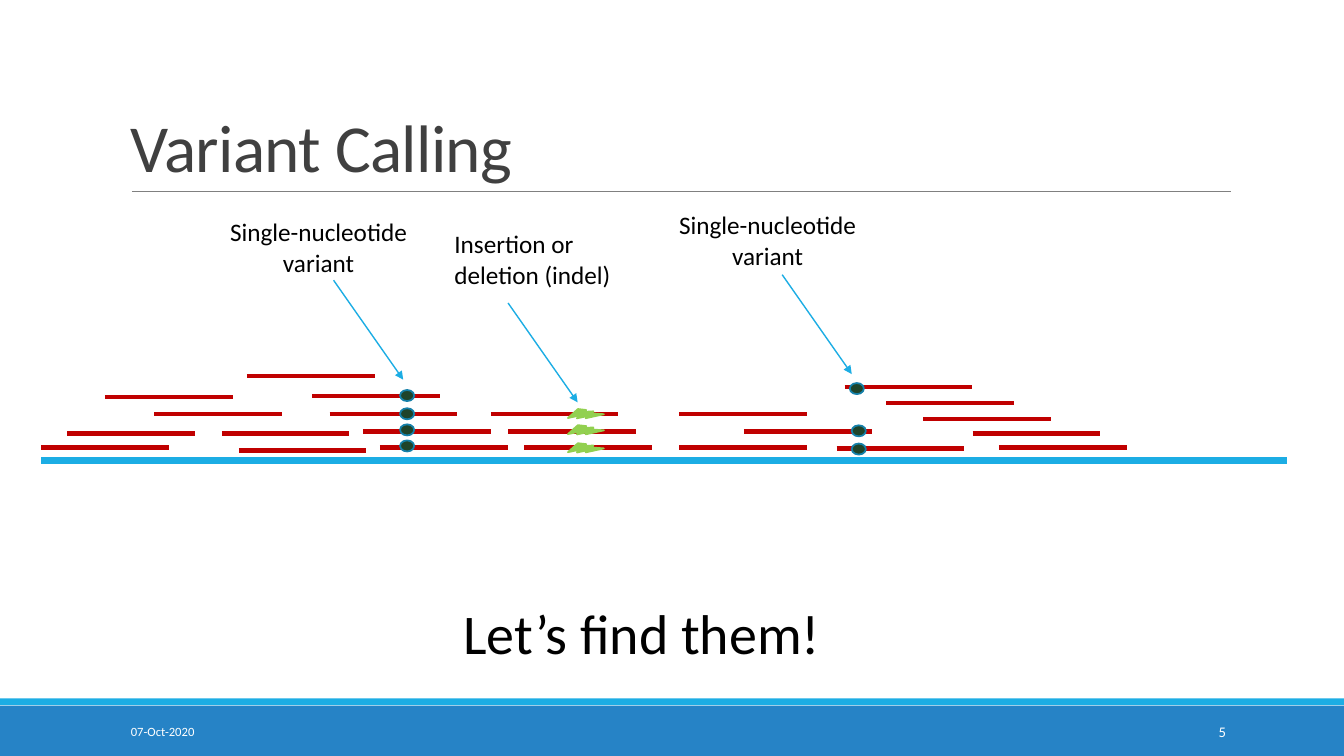
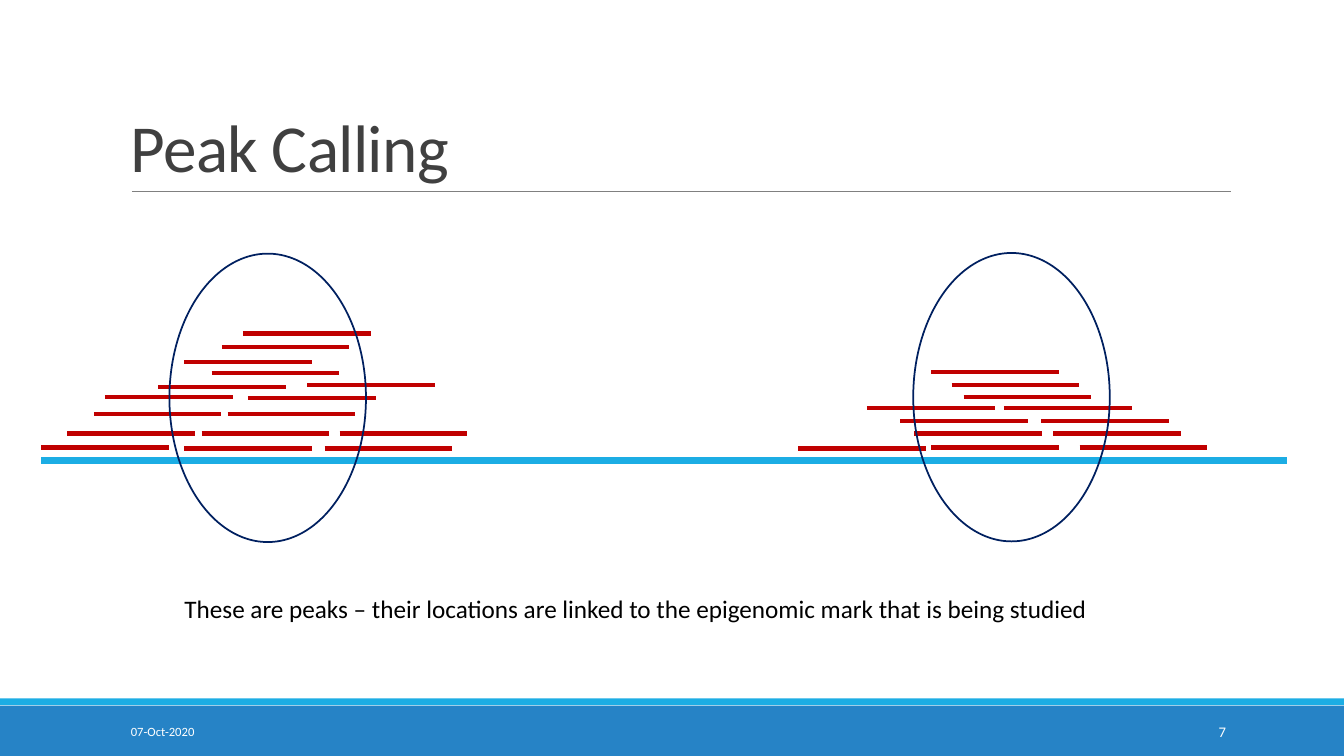
from lxml import etree
from pptx import Presentation
from pptx.dml.color import RGBColor
from pptx.enum.shapes import MSO_CONNECTOR, MSO_SHAPE
from pptx.enum.text import MSO_ANCHOR, PP_ALIGN
from pptx.oxml.ns import qn
from pptx.util import Pt

LINE = MSO_CONNECTOR.STRAIGHT
RECT, OVAL, BOLT = MSO_SHAPE.RECTANGLE, MSO_SHAPE.OVAL, MSO_SHAPE.LIGHTNING_BOLT
LEFT, MID, RIGHT = PP_ALIGN.LEFT, PP_ALIGN.CENTER, PP_ALIGN.RIGHT
TOP, CENTER, BASE = MSO_ANCHOR.TOP, MSO_ANCHOR.MIDDLE, MSO_ANCHOR.BOTTOM

FONT = "Calibri"
BLUE, CYAN, WHITE, BLACK = "2683C6", "1CADE4", "FFFFFF", "000000"
GREY, RULE, RED, NAVY = "404040", "808080", "C00000", "002060"
DOT, RIM, GREEN = "1F442A", "1580A9", "92D050"

WIDE, HIGH = 960, 540
DATE = "07-Oct-2020"
READ = 91.2  # length of one read
GENOME = (29.5, 329, 919.4, 329)

# Reads: height of the row, then the left ends
VARIANT_READS = {
    268.6: [176.4],
    276.5: [603.4],
    283: [223.2],
    283.7: [74.9],
    288: [632.9],
    295.9: [110.2, 235.4, 350.6, 485.3],
    299.5: [659.5],
    308.2: [259.2, 362.9, 531.4],
    309.6: [48.2, 158.4, 694.8],
    319.7: [29.5, 271.4, 374.4, 485.3, 713.5],
    320.4: [597.6],
    321.8: [170.6],
}
PEAK_READS = {
    238.3: [173.5],
    247.7: [158.4],
    258.5: [131.8],
    265.7: [665.3],
    266.4: [151.2],
    275: [219.6, 679.7],
    276.5: [113],
    283.7: [74.9, 688.3],
    284.4: [177.1],
    291.6: [619.2, 717.1],
    295.9: [67, 162.7],
    301: [643, 743.8],
    309.6: [48.2, 144, 242.6, 653, 752.4],
    319.7: [29.5, 665.3, 771.1],
    320.4: [131.8, 231.8, 570.2],
}

DOTS = [(285.8, 278.6), (285.8, 291.6), (285.8, 303.1), (285.8, 314.6),
        (608.4, 303.8), (607, 273.6), (608.4, 316.8)]
BOLTS = [(406.1, 290.2), (406.1, 301.7), (406.1, 314.6)]
ARROWS = [(238.3, 200.2), (558.7, 196.2), (362.9, 216.4)]
REACH = (49.7, 71)  # run and drop of each arrow
LABELS = [
    ("Single-nucleotide variant", (143.3, 151.2, 168.5, 51), MID),
    ("Single-nucleotide variant", (463.7, 146.2, 169.2, 51), MID),
    ("Insertion or deletion (indel)", (317.5, 159.8, 154.8, 51), LEFT),
]
CALL = ("Let’s find them!", (324, 424.1, 434.9, 55.4))
PEAKS = [(121, 181.2), (652.3, 180.7)]
NOTE = ("These are peaks – their locations are linked to the epigenomic "
        "mark that is being studied", (124.6, 420.5, 683.3, 29))


def color(code):
    """Turn a hex string into a colour."""
    return RGBColor.from_string(code)


def add_line(slide, ends, code, width, arrow=False):
    """Draw a straight line, with an arrowhead at its end if asked."""
    line = slide.shapes.add_connector(LINE, *map(Pt, ends))
    line.line.color.rgb = color(code)
    line.line.width = Pt(width)
    if arrow:
        stroke = line.line._get_or_add_ln()
        etree.SubElement(stroke, qn("a:tailEnd"), type="triangle")
    etree.SubElement(line._element.spPr, qn("a:effectLst"))


def add_form(slide, kind, box, fill=None, edge=None, turn=0):
    """Draw a preset shape with an optional fill and outline."""
    form = slide.shapes.add_shape(kind, *map(Pt, box))
    form.shadow.inherit = False
    form.rotation = turn
    if fill:
        form.fill.solid()
        form.fill.fore_color.rgb = color(fill)
    else:
        form.fill.background()
    if edge:
        form.line.color.rgb = color(edge)
        form.line.width = Pt(1.25)
    else:
        form.line.fill.background()


def add_text(slide, text, box, size, code=BLACK, align=LEFT, anchor=TOP):
    """Add a wrapped text box and return its paragraph."""
    frame = slide.shapes.add_textbox(*map(Pt, box)).text_frame
    frame.word_wrap = True
    frame.vertical_anchor = anchor
    para = frame.paragraphs[0]
    para.text = text
    para.alignment = align
    para.font.name = FONT
    para.font.size = Pt(size)
    para.font.color.rgb = color(code)
    return para


def add_base(deck, title, number):
    """Start a slide with its bands, rule, footer and title."""
    slide = deck.slides.add_slide(deck.slide_layouts[6])
    add_form(slide, RECT, (0, 504, WIDE, 36), BLUE)
    add_form(slide, RECT, (0, 498.9, WIDE, 4.8), CYAN)
    add_line(slide, (94.3, 136.8, 879.1, 136.8), RULE, 0.5)
    add_text(slide, DATE, (86.4, 508.3, 194.4, 28.8), 9, WHITE, LEFT, CENTER)
    add_text(slide, str(number), (779.8, 508.3, 103, 28.8), 10.5, WHITE,
             RIGHT, CENTER)
    head = add_text(slide, title, (86.4, 22.3, 792, 114.5), 48, GREY,
                    LEFT, BASE)
    head.line_spacing = 0.85
    head.runs[0]._r.get_or_add_rPr().set("spc", "-50")
    return slide


def add_reads(slide, rows):
    """Draw the genome and the reads stacked above it."""
    add_line(slide, GENOME, CYAN, 4.5)
    for y, starts in rows.items():
        for x in starts:
            add_line(slide, (x, y, x + READ, y), RED, 3)


def add_variants(deck):
    """Build the slide on variants."""
    slide = add_base(deck, "Variant Calling", 5)
    add_reads(slide, VARIANT_READS)
    for x, y in DOTS:
        add_form(slide, OVAL, (x, y, 10.1, 7.9), DOT, RIM)
    for x, y in BOLTS:
        add_form(slide, BOLT, (x, y, 23.8, 12.2), GREEN, GREEN, 331.2)
    for x, y in ARROWS:
        add_line(slide, (x, y, x + REACH[0], y + REACH[1]), CYAN, 1, True)
    for text, box, align in LABELS:
        add_text(slide, text, box, 18, align=align)
    add_text(slide, *CALL, 40)


def add_peaks(deck):
    """Build the slide on peaks."""
    slide = add_base(deck, "Peak Calling", 7)
    add_reads(slide, PEAK_READS)
    for x, y in PEAKS:
        add_form(slide, OVAL, (x, y, 140.4, 206), edge=NAVY)
    add_text(slide, *NOTE, 18)


deck = Presentation()
deck.slide_width, deck.slide_height = Pt(WIDE), Pt(HIGH)
add_variants(deck)
add_peaks(deck)
deck.save("out.pptx")
